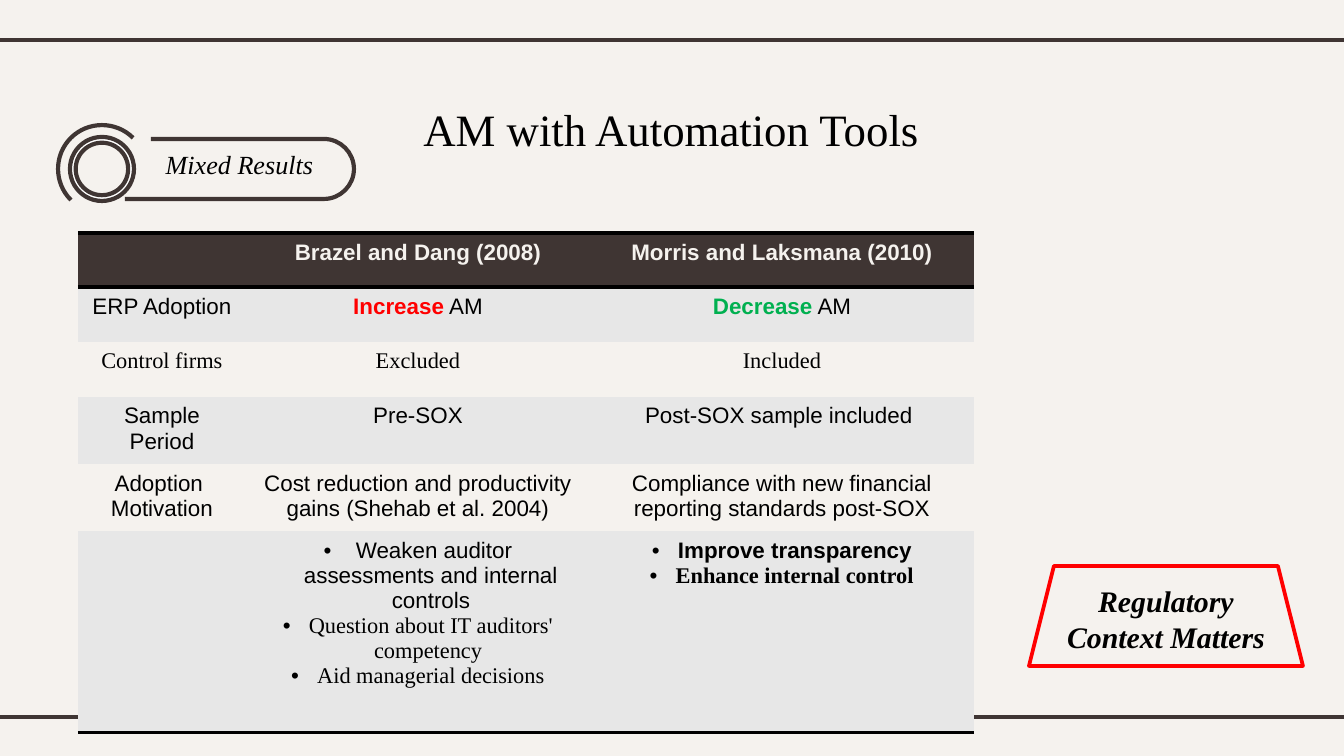
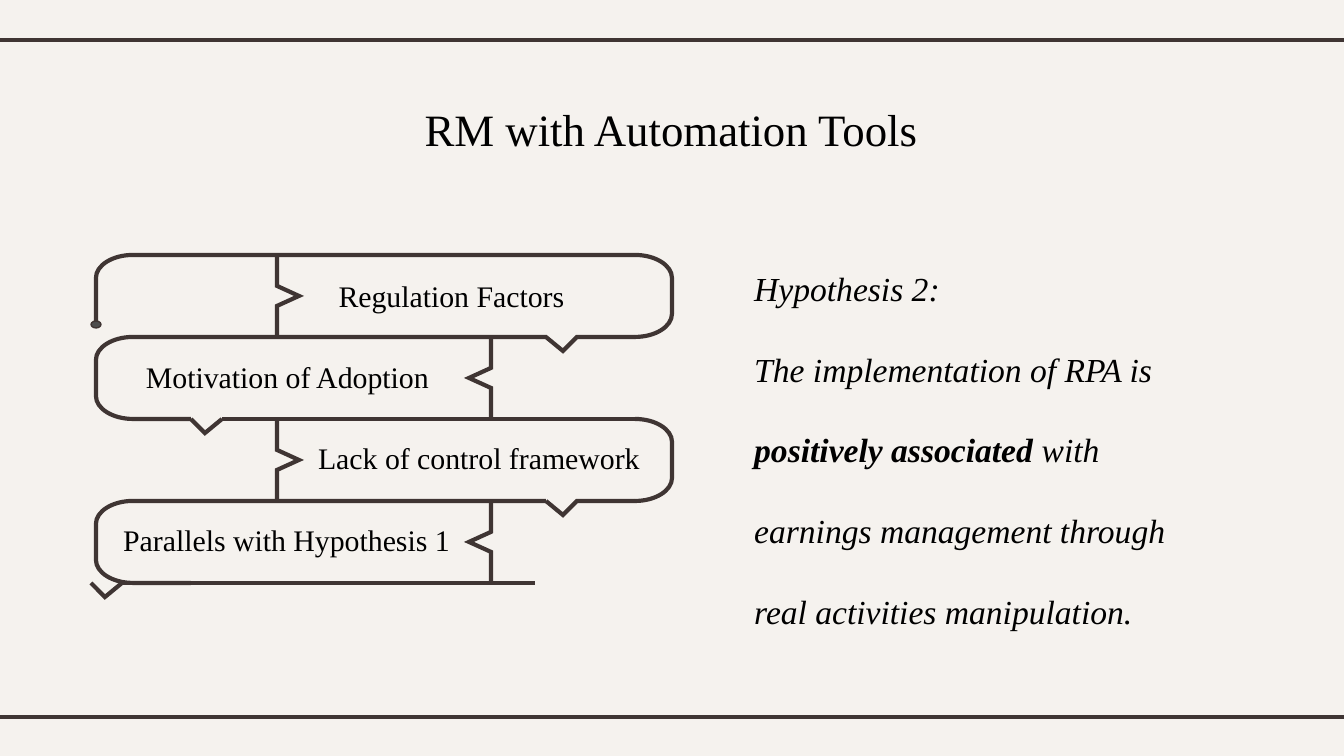
from math import cos, radians, sin

from lxml import etree
from pptx import Presentation
from pptx.dml.color import RGBColor
from pptx.enum.shapes import MSO_CONNECTOR, MSO_SHAPE
from pptx.enum.text import PP_ALIGN, MSO_ANCHOR
from pptx.oxml.ns import qn
from pptx.util import Emu, Pt

STRAIGHT = MSO_CONNECTOR.STRAIGHT
DONUT, OVAL, TRAPEZOID = MSO_SHAPE.DONUT, MSO_SHAPE.OVAL, MSO_SHAPE.TRAPEZOID
LEFT, CENTER, MIDDLE = PP_ALIGN.LEFT, PP_ALIGN.CENTER, MSO_ANCHOR.MIDDLE

CREAM = RGBColor(0xF5, 0xF2, 0xEE)
BROWN = RGBColor(0x3F, 0x35, 0x33)
BLACK = RGBColor(0, 0, 0)
WHITE = RGBColor(0xFF, 0xFF, 0xFF)
BAND = RGBColor(0xE7, 0xE7, 0xE7)
DOT = RGBColor(0x4D, 0x4D, 0x4D)
RED = RGBColor(0xFF, 0, 0)
GREEN = RGBColor(0, 0xB0, 0x50)

SERIF, SANS = "Times New Roman", "Arial"
NO_GRID_STYLE = "{2D5ABB26-0587-4C30-8999-92F81FD0307C}"
SCALE = 914400 / 134.4
WIDTH, HEIGHT = 1344, 756
STROKE = 2.25
FINE = 100  # outline units per px
ROUND = 0.55  # handle length of a quarter ellipse


def px(length):
    return Emu(round(length * SCALE))


def px_box(box):
    return [px(length) for length in box]


# ---- Shared helpers ----
def write(frame, paras, size, font=SERIF, color=BLACK, bold=False,
          italic=False, align=CENTER):
    """Each paragraph is a string or a list of (text, color, bold) spans."""
    frame.word_wrap = True
    for index, content in enumerate(paras):
        para = frame.paragraphs[0] if index == 0 else frame.add_paragraph()
        para.alignment = align
        if isinstance(content, str):
            content = [(content, color, bold)]
        for text, span_color, span_bold in content:
            span = para.add_run()
            span.text = text
            span.font.name = font
            span.font.size = Pt(size)
            span.font.color.rgb = span_color
            span.font.bold = span_bold
            span.font.italic = italic


def add_text(page, box, paras, size, **style):
    frame = page.shapes.add_textbox(*px_box(box)).text_frame
    write(frame, paras, size, **style)
    return frame


def outline(shape, color=BROWN, width=STROKE, fill=None):
    shape.shadow.inherit = False
    if fill is None:
        shape.fill.background()
    else:
        shape.fill.solid()
        shape.fill.fore_color.rgb = fill
    shape.line.color.rgb = color
    shape.line.width = Pt(width)


def add_shape(page, kind, box, **style):
    shape = page.shapes.add_shape(kind, *px_box(box))
    outline(shape, **style)
    return shape


def add_path(page, start, *steps):
    """A step is one point (line) or three points (curve)."""
    groups = [step if len(step) == 3 else [step] for step in steps]
    points = [(x * FINE, y * FINE) for group in groups for x, y in group]
    builder = page.shapes.build_freeform(start[0] * FINE, start[1] * FINE,
                                         scale=SCALE / FINE)
    builder.add_line_segments(points, close=False)
    shape = builder.convert_to_shape()
    outline(shape)
    # Merge the three points of each curve into one segment
    segments = iter(list(shape.element.iter(qn("a:lnTo"))))
    for group in groups:
        first = next(segments)
        if len(group) == 3:
            first.tag = qn("a:cubicBezTo")
            for other in (next(segments), next(segments)):
                first.append(other[0])
                other.getparent().remove(other)
    line = shape.element.spPr.find(qn("a:ln"))
    etree.SubElement(line, qn("a:miter"), lim="800000")


def add_line(page, x1, y1, x2, y2):
    line = page.shapes.add_connector(STRAIGHT, *px_box((x1, y1, x2, y2)))
    line.line.color.rgb = BROWN
    line.line.width = Pt(STROKE)
    etree.SubElement(line.element.spPr, qn("a:effectLst"))


def quarter(cx, cy, rx, ry, start, turn=1):
    """Curve along a quarter ellipse; turn is 1 clockwise, -1 counter."""
    a, b = radians(start), radians(start + 90 * turn)
    k = ROUND * turn
    return ((cx + rx * (cos(a) - k * sin(a)), cy + ry * (sin(a) + k * cos(a))),
            (cx + rx * (cos(b) + k * sin(b)), cy + ry * (sin(b) - k * cos(b))),
            (cx + rx * cos(b), cy + ry * sin(b)))


def add_page(deck, title):
    page = deck.slides.add_slide(deck.slide_layouts[6])
    page.background.fill.solid()
    page.background.fill.fore_color.rgb = CREAM
    for y in (40, 717):
        add_line(page, -11, y, WIDTH + 11, y)
    frame = add_text(page, (204, 87, 945, 73), [title], 24)
    frame.margin_top, frame.margin_bottom = px(15), px(13)
    return page


# ---- Slide 1: comparison table ----
def add_badge(page, left, top, label):
    cx, cy = left + 47, top + 48
    # Pill open on its left side
    pill_x = left + 269
    add_path(page, (left + 70, cy + 30), (pill_x, cy + 30),
             quarter(pill_x, cy, 30, 30, 90, -1),
             quarter(pill_x, cy, 30, 30, 0, -1), (left + 96, cy - 30))
    # Ring with an outer arc
    ring = add_shape(page, DONUT, (cx - 32, cy - 32, 64, 64), fill=WHITE)
    ring.adjustments[0] = 0.09
    add_path(page, (cx - 31, cy + 31), quarter(cx, cy, 44, 44, 135),
             quarter(cx, cy, 44, 44, 225))
    add_text(page, (left + 95, top + 21, 179, 46), [label], 14, italic=True)


def set_border(cell, side):
    border = etree.Element(qn(f"a:{side}"), w=str(Pt(2)))
    fill = etree.SubElement(border, qn("a:solidFill"))
    etree.SubElement(fill, qn("a:srgbClr"), val=str(BLACK))
    cell._tc.get_or_add_tcPr().insert(0, border)


def set_bullet(para):
    props = para._p.get_or_add_pPr()
    props.set("marL", str(px(26)))
    props.set("indent", str(-px(26)))
    color = etree.SubElement(props, qn("a:buClr"))
    etree.SubElement(color, qn("a:srgbClr"), val=str(BLACK))
    etree.SubElement(props, qn("a:buFont"), typeface=SANS)
    etree.SubElement(props, qn("a:buChar"), char="•")


def effect(word, color):
    return [[(word, color, True), (" AM", BLACK, False)]]


COLUMNS = (168, 344, 384)
ROW_HEIGHTS = (54, 55, 55, 67, 67, 201)
ROWS = [
    ([], ["Brazel and Dang (2008)"], ["Morris and Laksmana (2010)"]),
    (["ERP Adoption"], effect("Increase", RED), effect("Decrease", GREEN)),
    (["Control firms"], ["Excluded"], ["Included"]),
    (["Sample Period"], ["Pre-SOX"], ["Post-SOX sample included "]),
    (["Adoption ", "Motivation"],
     ["Cost reduction and productivity gains (Shehab et al. 2004)"],
     ["Compliance with new financial reporting standards post-SOX"]),
    ([],
     [" Weaken auditor assessments and internal controls",
      "Question about IT auditors' competency ",
      "Aid managerial decisions"],
     ["Improve transparency", "Enhance internal control"]),
]


def add_comparison(page, left, top):
    last = len(ROWS) - 1
    frame = page.shapes.add_table(len(ROWS), len(COLUMNS), *px_box(
        (left, top, sum(COLUMNS), sum(ROW_HEIGHTS))))
    next(frame.element.iter(qn("a:tableStyleId"))).text = NO_GRID_STYLE
    table = frame.table
    for column, width in zip(table.columns, COLUMNS):
        column.width = px(width)
    for r, contents in enumerate(ROWS):
        table.rows[r].height = px(ROW_HEIGHTS[r])
        for c, paras in enumerate(contents):
            cell = table.cell(r, c)
            cell.fill.solid()
            cell.fill.fore_color.rgb = BROWN if r == 0 else BAND if r % 2 else CREAM
            write(cell.text_frame, paras, 12,
                  font=SERIF if r == 2 else SANS,
                  color=CREAM if r == 0 else BLACK,
                  bold=r == 0 or (r == last and c == 2))
            if r in (0, last):
                set_border(cell, "lnB")
            if r == 0:
                set_border(cell, "lnT")
            if r == last and paras:
                for index, para in enumerate(cell.text_frame.paragraphs):
                    set_bullet(para)
                    para.runs[0].font.name = SERIF if index else SANS


def build_am_page(deck):
    page = add_page(deck, "AM with Automation Tools ")
    add_badge(page, 55, 121, "Mixed Results")
    add_comparison(page, 78, 233)
    # Conclusion
    verdict = add_shape(page, TRAPEZOID, (1029, 566, 274, 100), color=RED, width=2)
    verdict.text_frame.vertical_anchor = MIDDLE
    write(verdict.text_frame, ["Regulatory", "Context Matters"], 16,
          bold=True, italic=True)


# ---- Slide 2: winding chain of factors ----
STEP = 82
CORNER_X, CORNER_Y = 37, 23
# text, box within the chain, alignment
FACTORS = [
    ("Regulation Factors", (187, 16, 337, 50), CENTER),
    ("Motivation of Adoption", (23, 97, 337, 50), CENTER),
    ("Lack of control framework", (196, 178, 374, 50), CENTER),
    ("Parallels with Hypothesis 1", (14, 260, 356, 50), LEFT),
]


def bend(cx, top, side):
    """Rounded end of a row, bulging right (side 1) or left (side -1)."""
    upper, lower = top + CORNER_Y, top + STEP - CORNER_Y
    start = -90
    return (quarter(cx, upper, side * CORNER_X, CORNER_Y, start),
            (cx + side * CORNER_X, lower),
            quarter(cx, lower, side * CORNER_X, CORNER_Y, start + 90))


def notch(x, y, side=1):
    return (x, y), (x + side * 14, y + 14), (x + side * 31, y)


def add_chain(page, left, top, width):
    near, far = left + CORNER_X, left + width - CORNER_X
    rows = [top + i * STEP for i in range(len(FACTORS) + 1)]
    # Dividers with their pointers
    for row, y in enumerate(rows[:-1]):
        x, tip = (left + 395, -22) if row % 2 else (left + 181, 22)
        add_path(page, (x, y), (x, y + 31), (x + tip, y + 41),
                 (x, y + 51), (x, y + STEP))
    # Winding outline, from the top left down
    low_notch = left + 95
    right_notch = left + 481
    add_path(page, (left, top + 69), (left, top + CORNER_Y),
             quarter(near, top + CORNER_Y, CORNER_X, CORNER_Y, 180),
             (far, top), *bend(far, top, 1))
    add_path(page, (far, rows[1]), *notch(right_notch, rows[1], -1),
             (near, rows[1]), *bend(near, rows[1], -1), (low_notch, rows[2]))
    add_path(page, *notch(low_notch, rows[2]))
    add_line(page, low_notch + 31, rows[2], far, rows[2])
    add_path(page, (far, rows[2]), *bend(far, rows[2], 1))
    add_path(page, (far, rows[3]), *notch(right_notch, rows[3], -1))
    add_path(page, (right_notch - 31, rows[3]), (near, rows[3]),
             *bend(near, rows[3], -1), (low_notch, rows[4]))
    add_line(page, left + 26, rows[4], left + 439, rows[4])
    add_path(page, *notch(left - 5, rows[4]))
    add_shape(page, OVAL, (left - 5, top + 66, 10, 7), width=0.75, fill=DOT)
    # Factor names
    for text, (x, y, text_width, height), align in FACTORS:
        add_text(page, (left + x, top + y, text_width, height), [text], 16,
                 align=align)


def build_rm_page(deck):
    page = add_page(deck, "RM with Automation Tools ")
    # Hypothesis
    claim = [("The implementation of RPA is ", BLACK, False),
             ("positively associated ", BLACK, True),
             ("with earnings management through real activities manipulation.",
              BLACK, False)]
    frame = add_text(page, (741, 221, 466, 409), ["Hypothesis 2:", claim], 18,
                     italic=True, align=LEFT)
    for para in frame.paragraphs:
        para.line_spacing = 2.0
    add_chain(page, 96, 255, 576)


def main():
    deck = Presentation()
    deck.slide_width, deck.slide_height = px(WIDTH), px(HEIGHT)
    build_am_page(deck)
    build_rm_page(deck)
    deck.save("out.pptx")


if __name__ == "__main__":
    main()
